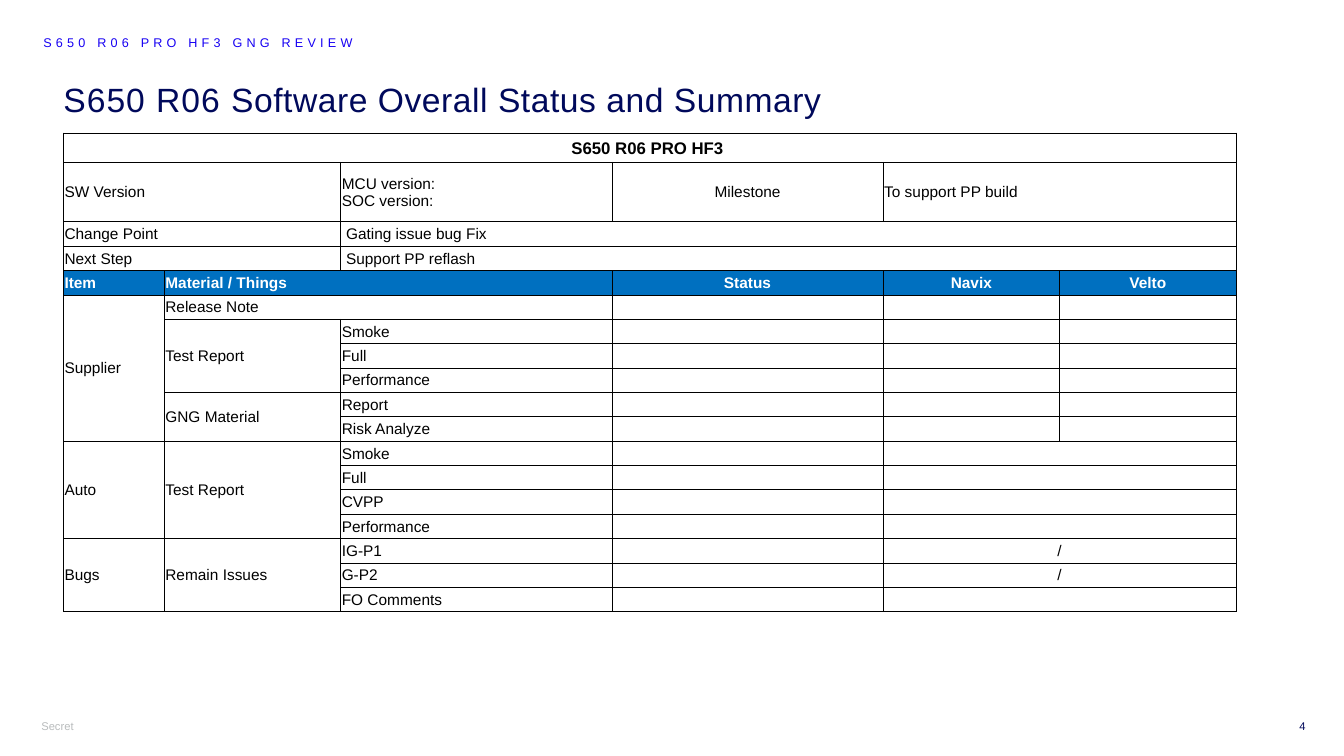
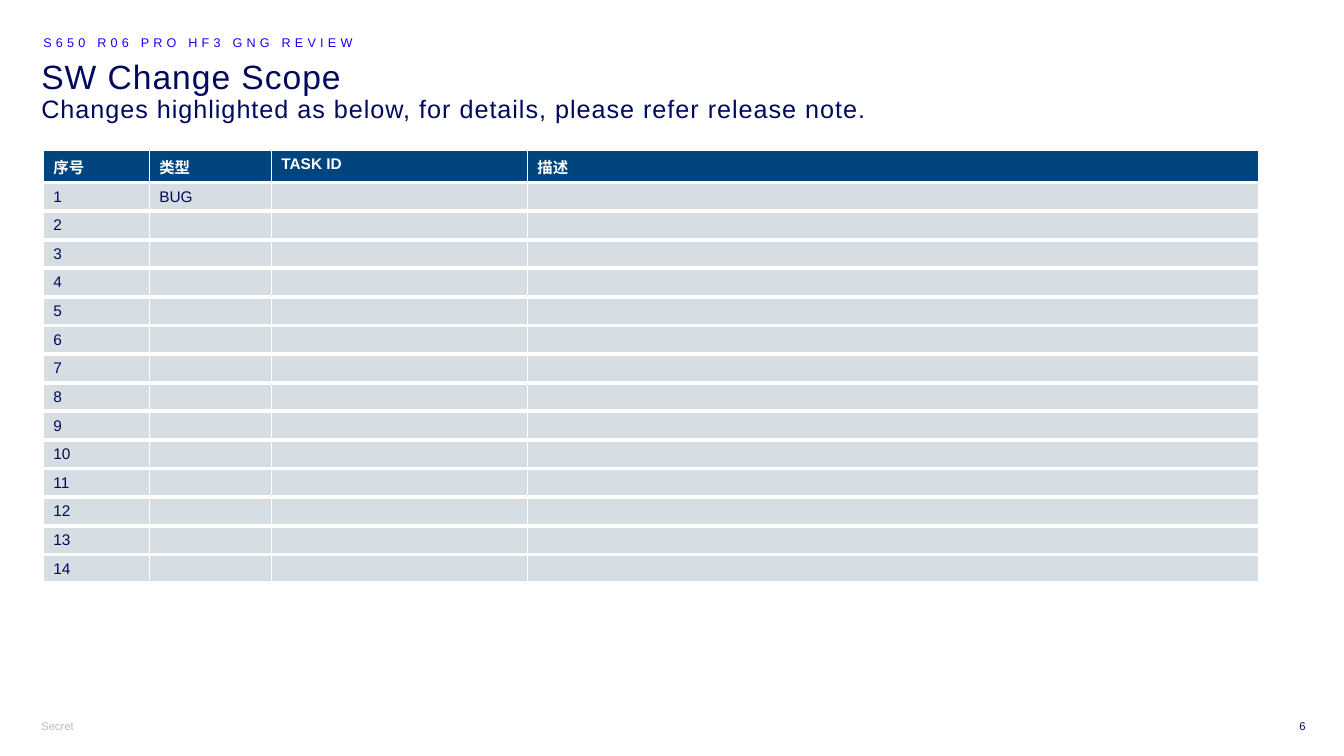
from pptx import Presentation
from pptx.util import Inches, Pt
from pptx.dml.color import RGBColor
from pptx.enum.text import PP_ALIGN, MSO_ANCHOR
from pptx.oxml.ns import qn
from lxml.etree import SubElement

HUES = {
    "navy": "00095B",
    "blue": "1700F3",
    "gray": "B9BCBD",
    "black": "000000",
    "white": "FFFFFF",
    "band": "0070C0",
    "head": "00457E",
    "pale": "D6DEE4",
}
FONT = "Arial"


def put(page, at, runs, wrap=True, align=PP_ALIGN.LEFT):
    box = page.shapes.add_textbox(*[Inches(n) for n in at])
    frame = box.text_frame
    frame.word_wrap = wrap
    frame.margin_left = frame.margin_right = 0
    para = frame.paragraphs[0]
    para.alignment = align
    para.line_spacing = 0.9
    for pos, (text, size, hue, gap) in enumerate(runs):
        if text.startswith("\n"):
            para.add_line_break()
        run = para.add_run()
        run.text = text.strip("\n")
        run.font.name = FONT
        run.font.size = Pt(size)
        run.font.color.rgb = RGBColor.from_string(HUES[hue])
        run.font._element.set("spc", str(gap))


def write(cell, text, size, hue, bold, fill, edge, lines, pads, align=PP_ALIGN.LEFT):
    cell.margin_left, cell.margin_top, cell.margin_right, cell.margin_bottom = [
        Inches(n) for n in pads
    ]
    props = cell._tc.get_or_add_tcPr()
    for side, width in zip("LRTB", lines):
        line = SubElement(props, qn("a:ln" + side), w=str(Pt(width)))
        paint = SubElement(line, qn("a:solidFill"))
        SubElement(paint, qn("a:srgbClr"), val=HUES[edge])
    if fill:
        cell.fill.solid()
        cell.fill.fore_color.rgb = RGBColor.from_string(HUES[fill])
    else:
        cell.fill.background()
    frame = cell.text_frame
    for pos, part in enumerate(text.split("\n")):
        para = frame.add_paragraph() if pos else frame.paragraphs[0]
        para.alignment = align
        if not part:
            SubElement(para._p, qn("a:endParaRPr"), sz=str(size * 100))
            continue
        run = para.add_run()
        run.text = part
        run.font.name = FONT
        run.font.size = Pt(size)
        run.font.bold = bold
        run.font.color.rgb = RGBColor.from_string(HUES[hue])


deck = Presentation()
deck.slide_width = Inches(13.33)
deck.slide_height = Inches(7.5)

heads = [
    ("4", (0.63, 0.78, 11.5, 0.75), [
        ("S650 R06 ", 24, "navy", 70),
        ("Software Overall Status and Summary", 24, "navy", 40),
    ]),
    ("6", (0.41, 0.55, 11.5, 0.94), [
        ("SW Change Scope", 24, "navy", 70),
        ("\nChanges highlighted as below, for details, please refer release note.", 18, "navy", 70),
    ]),
]
pages = []
for num, at, title in heads:
    page = deck.slides.add_slide(deck.slide_layouts[6])
    put(page, (0.41, 7.1, 0.43, 0.24), [("Secret", 8, "gray", 0)], wrap=False)
    put(page, at, title)
    put(page, (0.43, 0.31, 5.95, 0.24), [("S650 R06 PRO HF3 GNG REVIEW", 9, "blue", 300)])
    put(page, (12.6, 7.1, 0.35, 0.24), [(num, 8, "navy", 0)], align=PP_ALIGN.RIGHT)
    pages.append(page)

status = [
    ["S650 R06 PRO HF3 "],
    ["SW Version", "", "MCU version:\nSOC version:", "Milestone", "To support PP build"],
    ["Change Point", "", " Gating issue bug Fix"],
    ["Next Step", "", " Support PP reflash"],
    ["Item", "Material / Things", "", "Status", "Navix", "Velto"],
    ["Supplier", "Release Note"],
    ["", "Test Report", "Smoke"],
    ["", "", "Full"],
    ["", "", "Performance"],
    ["", "GNG Material", "Report"],
    ["", "", "Risk Analyze"],
    ["Auto", "Test Report", "Smoke"],
    ["", "", "Full"],
    ["", "", "CVPP"],
    ["", "", "Performance"],
    ["Bugs", "Remain Issues", "IG-P1", "", "/"],
    ["", "", "G-P2", "", "/"],
    ["", "", "FO Comments"],
]
spans = [
    (0, 0, 0, 5), (1, 0, 1, 1), (1, 4, 1, 5), (2, 0, 2, 1), (2, 2, 2, 5),
    (3, 0, 3, 1), (3, 2, 3, 5), (4, 1, 4, 2), (5, 0, 10, 0), (5, 1, 5, 2),
    (6, 1, 8, 1), (9, 1, 10, 1), (11, 0, 14, 0), (11, 1, 14, 1),
    (15, 0, 17, 0), (15, 1, 17, 1),
] + [(row, 4, row, 5) for row in range(11, 18)]
wides = [1, 1.75, 2.69, 2.69, 1.75, 1.75]
talls = [0.29, 0.59] + [3.87 / 16] * 16

grid = pages[0].shapes.add_table(
    len(status), len(wides), Inches(0.63), Inches(1.32), Inches(11.63), Inches(4.75)
).table
grid.first_row = grid.horz_banding = False
for col, wide in zip(grid.columns, wides):
    col.width = Inches(wide)
for row, tall in zip(grid.rows, talls):
    row.height = Inches(tall)
for top, left, low, right in spans:
    grid.cell(top, left).merge(grid.cell(low, right))
for row, texts in enumerate(status):
    band = row == 4
    for col in range(len(wides)):
        cell = grid.cell(row, col)
        mid = row == 0 or (col > 2 and (row, col) != (1, 4))
        write(
            cell,
            texts[col] if col < len(texts) else "",
            12 if row == 0 else 11,
            "white" if band else "black",
            row in (0, 4),
            "band" if band else None,
            "black",
            [0.5] * 4,
            (0.01, 0.01, 0.01, 0),
            PP_ALIGN.CENTER if mid else PP_ALIGN.LEFT,
        )
        cell.vertical_anchor = MSO_ANCHOR.MIDDLE

scope = [["序号", "类型", "TASK ID", "描述"]]
scope += [[str(num), "BUG" if num == 1 else "", "", ""] for num in range(1, 15)]
wides = [1.05, 1.21, 2.54, 7.25]

grid = pages[1].shapes.add_table(
    len(scope), len(wides), Inches(0.43), Inches(1.49), Inches(12.05), Inches(4.1)
).table
grid.first_row = grid.horz_banding = False
for col, wide in zip(grid.columns, wides):
    col.width = Inches(wide)
for row, texts in enumerate(scope):
    head = row == 0
    grid.rows[row].height = Inches(0.32 if head else 0.27)
    for col, text in enumerate(texts):
        cell = grid.cell(row, col)
        write(
            cell,
            text,
            11,
            "white" if head else "navy",
            head,
            "head" if head else "pale",
            "white",
            [1, 1, 1 if head else 3, 3],
            (0.1, 0.05, 0.1, 0.05),
        )
        cell.vertical_anchor = MSO_ANCHOR.TOP if head else MSO_ANCHOR.MIDDLE

deck.save("out.pptx")
